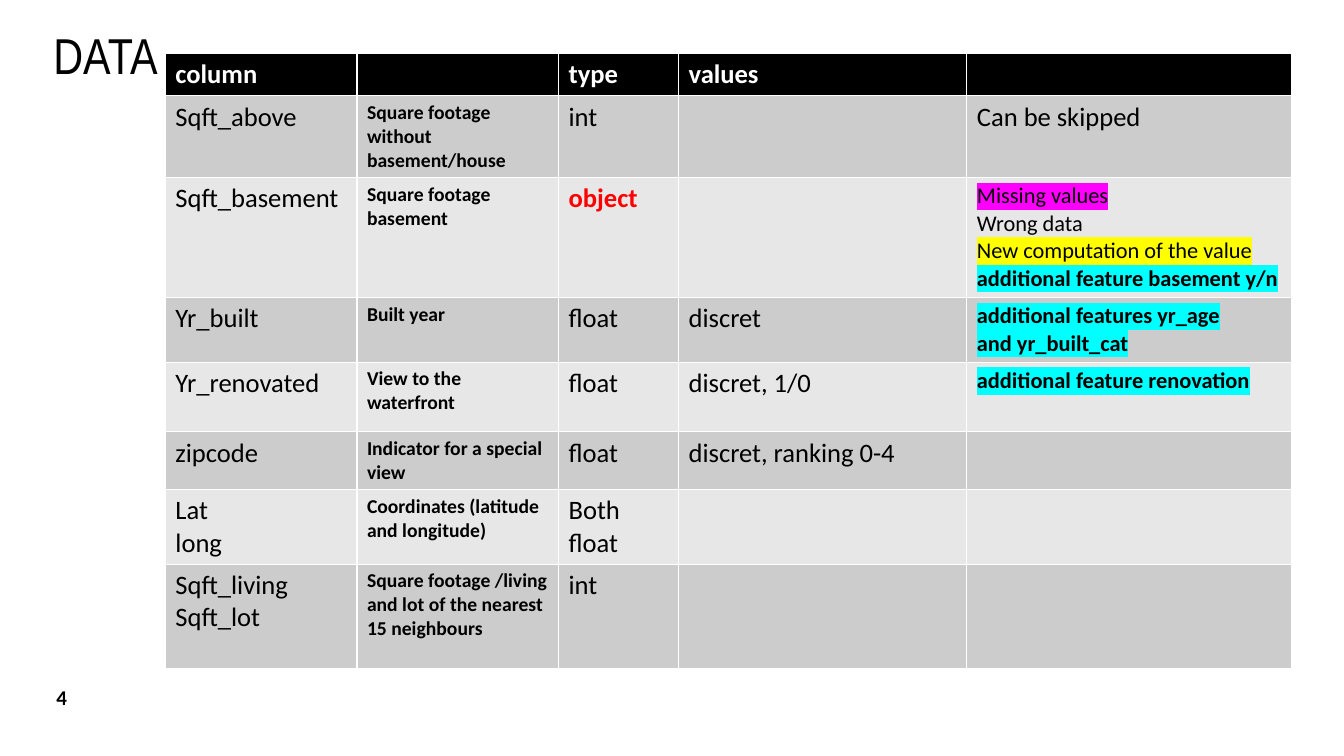
"""Build the DATA slide: a table of house-price columns, types and planned features."""
from lxml import etree
from pptx import Presentation
from pptx.dml.color import RGBColor
from pptx.enum.text import MSO_ANCHOR, PP_ALIGN
from pptx.oxml.ns import qn
from pptx.util import Inches, Pt

TOP, BOTTOM = MSO_ANCHOR.TOP, MSO_ANCHOR.BOTTOM
LEFT = PP_ALIGN.LEFT
COLORS = {
    "black": "000000", "white": "FFFFFF", "red": "FF0000",
    "dark band": "CCCCCC", "light band": "E7E7E7",
    "magenta": "FF00FF", "yellow": "FFFF00", "cyan": "00FFFF",
}


def format_runs(p, size, color="black", bold=False, name="Calibri", highlight=None):
    for r in p.runs:
        r.font.size = Pt(size)
        r.font.bold = bold
        r.font.color.rgb = RGBColor.from_string(COLORS[color])
        if highlight:
            mark = etree.SubElement(r.font._element, qn("a:highlight"))
            etree.SubElement(mark, qn("a:srgbClr"), val=COLORS[highlight])
        r.font.name = name


def clear_margins(tf, anchor):
    tf.margin_left = tf.margin_top = tf.margin_right = tf.margin_bottom = 0
    tf.vertical_anchor = anchor
    tf.word_wrap = True


prs = Presentation()
prs.slide_width, prs.slide_height = Inches(13.33), Inches(7.5)
s = prs.slides.add_slide(prs.slide_layouts[5])

title = s.shapes.title
title.left, title.top = Inches(0.53), Inches(0.24)
title.width, title.height = Inches(12.18), Inches(1.17)
title.text_frame.text = "DATA"
clear_margins(title.text_frame, TOP)
p = title.text_frame.paragraphs[0]
p.alignment = LEFT
format_runs(p, 36, name="Arial Narrow")

rows = [
    ("column", "", "type", "values", ""),
    ("Sqft_above", "Square footage without basement/house", "int", "", "Can be skipped"),
    ("Sqft_basement", "Square footage basement", "object", "",
     "Missing values\nWrong data\nNew computation of the value\nadditional feature basement y/n"),
    ("Yr_built", "Built year", "float", "discret",
     "additional features yr_age\nand yr_built_cat"),
    ("Yr_renovated", "View to the waterfront", "float", "discret, 1/0",
     "additional feature renovation"),
    ("zipcode", "Indicator for a special view", "float", "discret, ranking 0-4", ""),
    ("Lat\nlong", "Coordinates (latitude and longitude)", "Both float", "", ""),
    ("Sqft_living\nSqft_lot",
     "Square footage /living and lot of the nearest 15 neighbours", "int", "", ""),
]
feature = {"size": 16, "bold": True, "highlight": "cyan"}
special_formats = {
    "object": {"size": 19, "color": "red", "bold": True},
    "Missing values": {"size": 16, "highlight": "magenta"},
    "Wrong data": {"size": 16},
    "New computation of the value": {"size": 16, "highlight": "yellow"},
    "additional feature basement y/n": feature,
    "additional features yr_age": feature,
    "and yr_built_cat": feature,
    "additional feature renovation": feature,
}
col_widths = [1.9, 2, 1.19, 2.86, 3.22]
row_heights = [0.41, 0.81, 1.19, 0.64, 0.69, 0.57, 0.74, 1.04]

table = s.shapes.add_table(
    len(rows), len(col_widths), Inches(1.64), Inches(0.53),
    Inches(sum(col_widths)), Inches(sum(row_heights))).table
for column, width in zip(table.columns, col_widths):
    column.width = Inches(width)
for i, (texts, height) in enumerate(zip(rows, row_heights)):
    table.rows[i].height = Inches(height)
    band = "black" if i == 0 else "dark band" if i % 2 else "light band"
    for j, text in enumerate(texts):
        cell = table.cell(i, j)
        cell.fill.solid()
        cell.fill.fore_color.rgb = RGBColor.from_string(COLORS[band])
        cell.text_frame.text = text
        for p in cell.text_frame.paragraphs:
            if i == 0:
                style = {"size": 19, "color": "white", "bold": True}
            elif j == 1:
                style = {"size": 14, "bold": True}
            else:
                style = special_formats.get(p.text, {"size": 19})
            format_runs(p, **style)

page_number = s.shapes.add_textbox(Inches(0.56), Inches(6.65), Inches(1), Inches(0.39))
tf = page_number.text_frame
tf.text = "4"
clear_margins(tf, BOTTOM)
p = tf.paragraphs[0]
p.line_spacing = 0.9
p.space_after = Pt(10)
format_runs(p, 15, bold=True)

prs.save("out.pptx")
